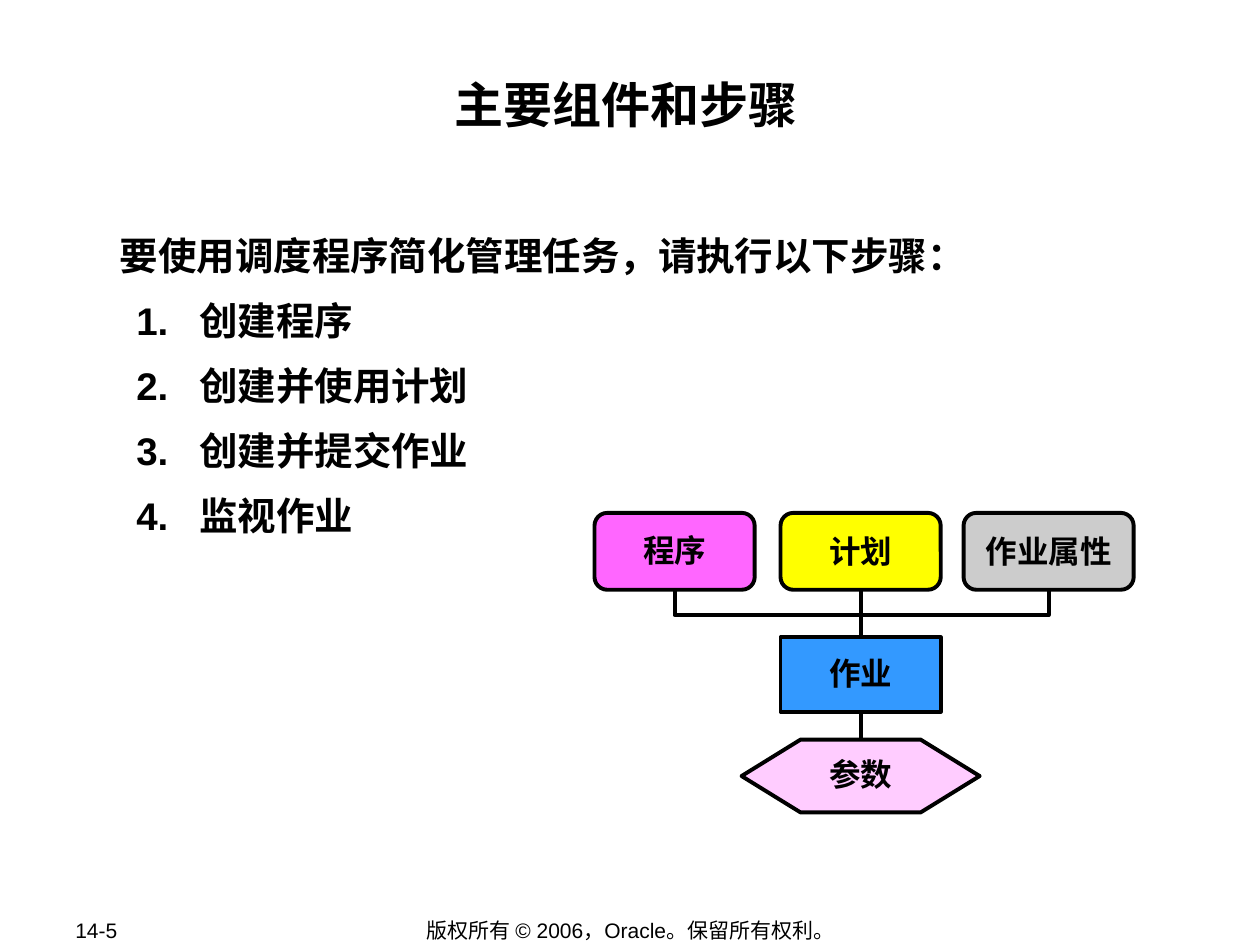
from lxml.etree import SubElement
from pptx import Presentation
from pptx.dml.color import RGBColor
from pptx.enum.shapes import MSO_CONNECTOR, MSO_SHAPE
from pptx.enum.text import MSO_ANCHOR, PP_ALIGN
from pptx.oxml.ns import qn
from pptx.util import Cm, Pt

FONT_NAME = "Arial"
BLACK = RGBColor(0x00, 0x00, 0x00)
MAGENTA = RGBColor(0xFF, 0x66, 0xFF)
YELLOW = RGBColor(0xFF, 0xFF, 0x00)
GRAY = RGBColor(0xCC, 0xCC, 0xCC)
BLUE = RGBColor(0x33, 0x99, 0xFF)
PINK = RGBColor(0xFF, 0xCC, 0xFF)

LINE_WIDTH = Pt(2.25)
NODE_WIDTH = 3.23
STEPS = ["创建程序", "创建并使用计划", "创建并提交作业", "监视作业"]

# Diagram positions in centimetres
PROGRAM_X, SCHEDULE_X, ATTRIBUTES_X = 13.6, 17.35, 21.14
INPUT_TOP, INPUT_HEIGHT = 10.34, 1.55
BUS_Y = 12.4
JOB_TOP, JOB_HEIGHT = 12.85, 1.5
ARGUMENTS_TOP, ARGUMENTS_HEIGHT = 14.91, 1.47


def format_font(paragraph, size, bold):
    font = paragraph.font
    font.name = FONT_NAME
    font.size = Pt(size)
    font.bold = bold
    font.color.rgb = BLACK


def set_frame(text_frame, margin_x, margin_y, anchor, wrap):
    text_frame.margin_left = text_frame.margin_right = Cm(margin_x)
    text_frame.margin_top = text_frame.margin_bottom = Cm(margin_y)
    text_frame.vertical_anchor = anchor
    text_frame.word_wrap = wrap


def add_text(slide, left, top, width, height, text, size, alignment, bold=True):
    """Add a bold content box, or a plain footer line centred in its height."""
    shape = slide.shapes.add_textbox(Cm(left), Cm(top), Cm(width), Cm(height))
    text_frame = shape.text_frame
    if bold:
        set_frame(text_frame, 0.03, 0.03, MSO_ANCHOR.TOP, True)
    else:
        set_frame(text_frame, 0.25, 0.13, MSO_ANCHOR.MIDDLE, False)
    text_frame.text = text
    paragraph = text_frame.paragraphs[0]
    paragraph.alignment = alignment
    format_font(paragraph, size, bold)
    return text_frame


def add_steps(text_frame, steps):
    text_frame.paragraphs[0].line_spacing = 1.1
    for number, step in enumerate(steps, start=1):
        paragraph = text_frame.add_paragraph()
        paragraph.text = f"{number}.\t{step}"
        properties = paragraph._p.get_or_add_pPr()
        properties.set("marL", str(Cm(1.6)))
        properties.set("indent", str(Cm(-1.27)))
        paragraph.line_spacing = 1.1
        paragraph.space_before = Pt(8.2)
        format_font(paragraph, 22, True)


def add_node(slide, kind, center_x, top, width, height, text, color, spacing=0.95):
    shape = slide.shapes.add_shape(
        kind, Cm(center_x - width / 2), Cm(top), Cm(width), Cm(height))
    shape.shadow.inherit = False
    shape.fill.solid()
    shape.fill.fore_color.rgb = color
    shape.line.color.rgb = BLACK
    shape.line.width = LINE_WIDTH
    set_frame(shape.text_frame, 0.13, 0.13, MSO_ANCHOR.MIDDLE, False)
    shape.text_frame.text = text
    paragraph = shape.text_frame.paragraphs[0]
    paragraph.alignment = PP_ALIGN.CENTER
    paragraph.line_spacing = spacing
    format_font(paragraph, 18, True)
    return shape


def add_vertical_line(slide, x, top, bottom):
    line = slide.shapes.add_connector(
        MSO_CONNECTOR.STRAIGHT, Cm(x), Cm(top), Cm(x), Cm(bottom))
    line.line.color.rgb = BLACK
    line.line.width = LINE_WIDTH
    SubElement(line._element.spPr, qn("a:effectLst"))


def add_bracket(slide, left, right, top, bottom):
    builder = slide.shapes.build_freeform(Cm(left), Cm(top))
    builder.add_line_segments(
        [(Cm(left), Cm(bottom)), (Cm(right), Cm(bottom)), (Cm(right), Cm(top))],
        close=False)
    shape = builder.convert_to_shape()
    shape.shadow.inherit = False
    shape.fill.background()
    shape.line.color.rgb = BLACK
    shape.line.width = LINE_WIDTH


def add_diagram(slide):
    # Connecting lines
    input_bottom = INPUT_TOP + INPUT_HEIGHT
    add_bracket(slide, PROGRAM_X, ATTRIBUTES_X, input_bottom, BUS_Y)
    add_vertical_line(slide, SCHEDULE_X, input_bottom, JOB_TOP)
    add_vertical_line(slide, SCHEDULE_X, JOB_TOP + JOB_HEIGHT, ARGUMENTS_TOP)

    # Inputs of the job
    inputs = [
        (PROGRAM_X, NODE_WIDTH, "程序", MAGENTA, 0.95),
        (SCHEDULE_X, NODE_WIDTH, "计划", YELLOW, 1.0),
        (ATTRIBUTES_X, 3.43, "作业属性", GRAY, 1.0),
    ]
    for center_x, width, text, color, spacing in inputs:
        add_node(slide, MSO_SHAPE.ROUNDED_RECTANGLE, center_x, INPUT_TOP,
                 width, INPUT_HEIGHT, text, color, spacing)

    # Job and its arguments
    add_node(slide, MSO_SHAPE.RECTANGLE, SCHEDULE_X, JOB_TOP,
             NODE_WIDTH, JOB_HEIGHT, "作业", BLUE)
    hexagon = add_node(slide, MSO_SHAPE.HEXAGON, SCHEDULE_X, ARGUMENTS_TOP,
                       4.8, ARGUMENTS_HEIGHT, "参数", PINK)
    hexagon.adjustments[0] = 0.81


def main():
    presentation = Presentation()
    presentation.slide_width = Cm(25.4)
    presentation.slide_height = Cm(19.05)
    slide = presentation.slides.add_slide(presentation.slide_layouts[6])

    # Footer
    add_text(slide, 1.27, 18.49, 2.69, 0.51, "14-5", 12, PP_ALIGN.LEFT, bold=False)
    add_text(slide, 7.01, 18.49, 11.4, 0.53,
             "版权所有 © 2006，Oracle。保留所有权利。", 12, PP_ALIGN.CENTER, bold=False)

    # Title and steps
    add_text(slide, 2.46, 1.47, 20.32, 2.44, "主要组件和步骤", 28, PP_ALIGN.CENTER)
    body = add_text(slide, 2.39, 4.55, 17.96, 6.35,
                    "要使用调度程序简化管理任务，请执行以下步骤：", 22, PP_ALIGN.LEFT)
    add_steps(body, STEPS)

    add_diagram(slide)
    presentation.save("out.pptx")


if __name__ == "__main__":
    main()
